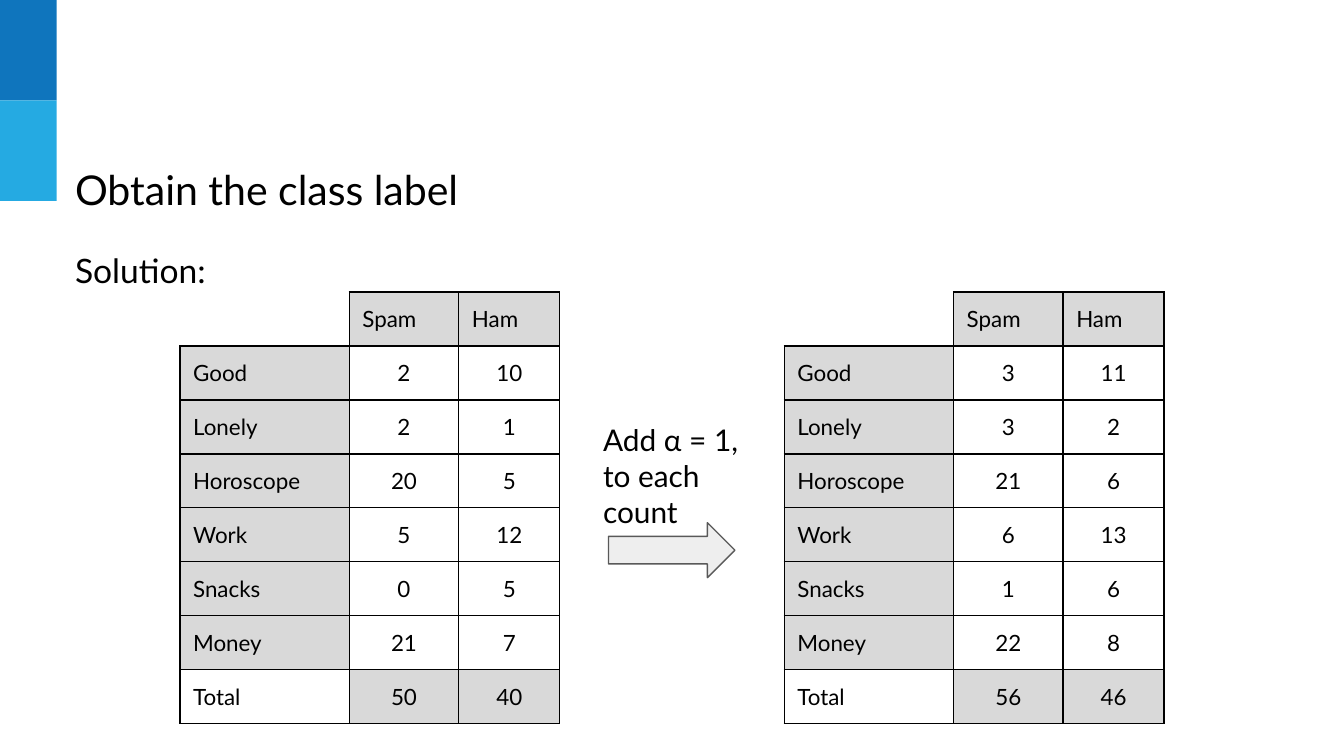
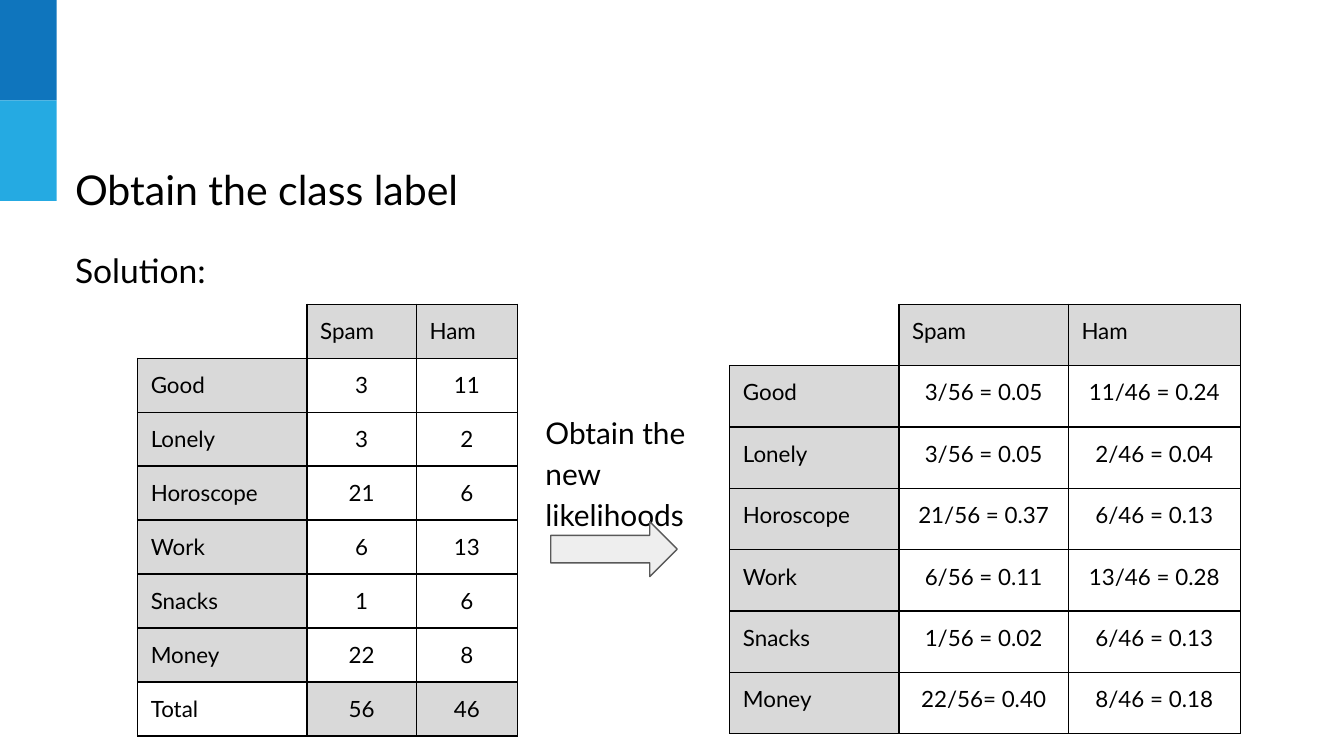
import pptx
import pptx.util
import pptx.dml.color
import pptx.enum.shapes
import pptx.enum.text
import pptx.oxml.ns
from lxml import etree

Cm = pptx.util.Cm
Pt = pptx.util.Pt
qn = pptx.oxml.ns.qn
ALIGN = pptx.enum.text.PP_ALIGN
SHAPE = pptx.enum.shapes.MSO_SHAPE

TITLE = "Obtain the class label"
SUBTITLE = "Solution:"
HEADER = ("", "Spam", "Ham")
WORDS = ("Good", "Lonely", "Horoscope", "Work", "Snacks", "Money", "Total")

COUNTS = [(2, 10), (2, 1), (20, 5), (5, 12), (0, 5), (21, 7), (50, 40)]
SMOOTHED = [(3, 11), (3, 2), (21, 6), (6, 13), (1, 6), (22, 8), (56, 46)]
LIKELIHOODS = [
    ("3/56 = 0.05", "11/46 = 0.24"),
    ("3/56 = 0.05", "2/46 = 0.04"),
    ("21/56 = 0.37", "6/46 = 0.13"),
    ("6/56 = 0.11", "13/46 = 0.28"),
    ("1/56 = 0.02", "6/46 = 0.13"),
    ("22/56= 0.40", "8/46 = 0.18"),
]

COUNT_GRID = {"cols": (3.2, 2.07, 1.91), "row_h": 1.02}
LIKELIHOOD_GRID = {"cols": (3.2, 3.2, 3.25), "row_h": 1.16}

SLIDES = [
    {
        "note": "Add α = 1, to each count",
        "note_box": (11.15, 7.72, 3.43, 2.16),
        "note_format": {"space_after": Pt(10)},
        "arrow_at": (11.5, 9.88),
        "tables": [(3.4, 5.52, COUNTS, COUNT_GRID), (14.82, 5.52, SMOOTHED, COUNT_GRID)],
    },
    {
        "note": "Obtain the new likelihoods",
        "note_box": (10.06, 7.49, 3.45, 2.36),
        "note_format": {"line_spacing": 1.15},
        "arrow_at": (10.41, 9.86),
        "tables": [(2.6, 5.75, SMOOTHED, COUNT_GRID), (13.79, 5.75, LIKELIHOODS, LIKELIHOOD_GRID)],
    },
]

COLORS = {
    "band_dark": "0F75BD",
    "band_light": "25AAE2",
    "text": "000000",
    "border": "000000",
    "shade": "D9D9D9",
    "arrow": "EEEEEE",
    "arrow_line": "595959",
}
FONT = "Lato"
INSET = Cm(0.25)
BAND_W, BAND_H = 1.07, 1.9
ARROW_SIZE = (2.39, 1.04)
TITLE_BOX = (1.17, 2.72, 14.83, 1.09)
SUBTITLE_BOX = (1.17, 4.37, 3.25, 1.37)
MARGINS = {f"margin_{side}": INSET for side in ("left", "right", "top", "bottom")}


def rgb(name):
    return pptx.dml.color.RGBColor.from_string(COLORS[name])


def set_all(obj, values):
    for name, value in values.items():
        setattr(obj, name, value)


def write(p, text, size, **fmt):
    set_all(p, fmt)
    r = p.add_run()
    r.text = text
    set_all(r.font, {"name": FONT, "size": Pt(size)})
    r.font.color.rgb = rgb("text")


def add_text(s, box, text, size, **fmt):
    tf = s.shapes.add_textbox(*map(Cm, box)).text_frame
    set_all(tf, {"word_wrap": True, **MARGINS})
    write(tf.paragraphs[0], text, size, **fmt)


def add_filled(s, kind, box, fill, line=None):
    sp = s.shapes.add_shape(kind, *map(Cm, box))
    sp.shadow.inherit = False
    sp.fill.solid()
    sp.fill.fore_color.rgb = rgb(fill)
    if line:
        sp.line.color.rgb = rgb(line)
        sp.line.width = Pt(0.75)
    else:
        sp.line.fill.background()


def set_borders(cell, visible):
    tc_pr = cell._tc.get_or_add_tcPr()
    for side in "LRTB":
        ln = etree.SubElement(tc_pr, qn(f"a:ln{side}"), w=str(Pt(0.75)))
        if side in visible:
            fill = etree.SubElement(ln, qn("a:solidFill"))
            etree.SubElement(fill, qn("a:srgbClr"), val=COLORS["border"])
        else:
            etree.SubElement(ln, qn("a:noFill"))


def fill_cell(cell, text, centered, shaded):
    set_all(cell, MARGINS)
    set_borders(cell, "LRTB" if text else "RB")
    if shaded:
        cell.fill.solid()
        cell.fill.fore_color.rgb = rgb("shade")
    else:
        cell.fill.background()
    p = cell.text_frame.paragraphs[0]
    if text:
        write(p, text, 12, alignment=ALIGN.CENTER if centered else ALIGN.LEFT)
    else:
        etree.SubElement(p._p, qn("a:endParaRPr"), sz="1200")


def add_word_table(s, left, top, values, grid):
    rows = [HEADER] + [(word, *pair) for word, pair in zip(WORDS, values)]
    cols, row_h = grid["cols"], grid["row_h"]
    box = (left, top, sum(cols), row_h * len(rows))
    table = s.shapes.add_table(len(rows), len(cols), *map(Cm, box)).table
    set_all(table, {"first_row": False, "horz_banding": False})
    for col, width in zip(table.columns, cols):
        col.width = Cm(width)
    for i, row in enumerate(rows):
        table.rows[i].height = Cm(row_h)
        for j, value in enumerate(row):
            is_label = i == 0 or j == 0
            is_total = row[0] == "Total"
            shaded = value != "" and is_label != is_total
            fill_cell(table.cell(i, j), str(value), not is_label, shaded)


def add_frame(s):
    for i, color in enumerate(("band_dark", "band_light")):
        add_filled(s, SHAPE.RECTANGLE, (0, i * BAND_H, BAND_W, BAND_H), color)
    add_text(s, SUBTITLE_BOX, SUBTITLE, 18, line_spacing=1.15)
    add_text(s, TITLE_BOX, TITLE, 22, line_spacing=1.15, space_after=Pt(16))


def main():
    prs = pptx.Presentation()
    set_all(prs, {"slide_width": Cm(25.4), "slide_height": Cm(14.29)})
    for content in SLIDES:
        s = prs.slides.add_slide(prs.slide_layouts[6])
        add_frame(s)
        add_text(s, content["note_box"], content["note"], 16, **content["note_format"])
        add_filled(s, SHAPE.RIGHT_ARROW, content["arrow_at"] + ARROW_SIZE, "arrow", "arrow_line")
        for table in content["tables"]:
            add_word_table(s, *table)
    prs.save("out.pptx")


if __name__ == "__main__":
    main()
